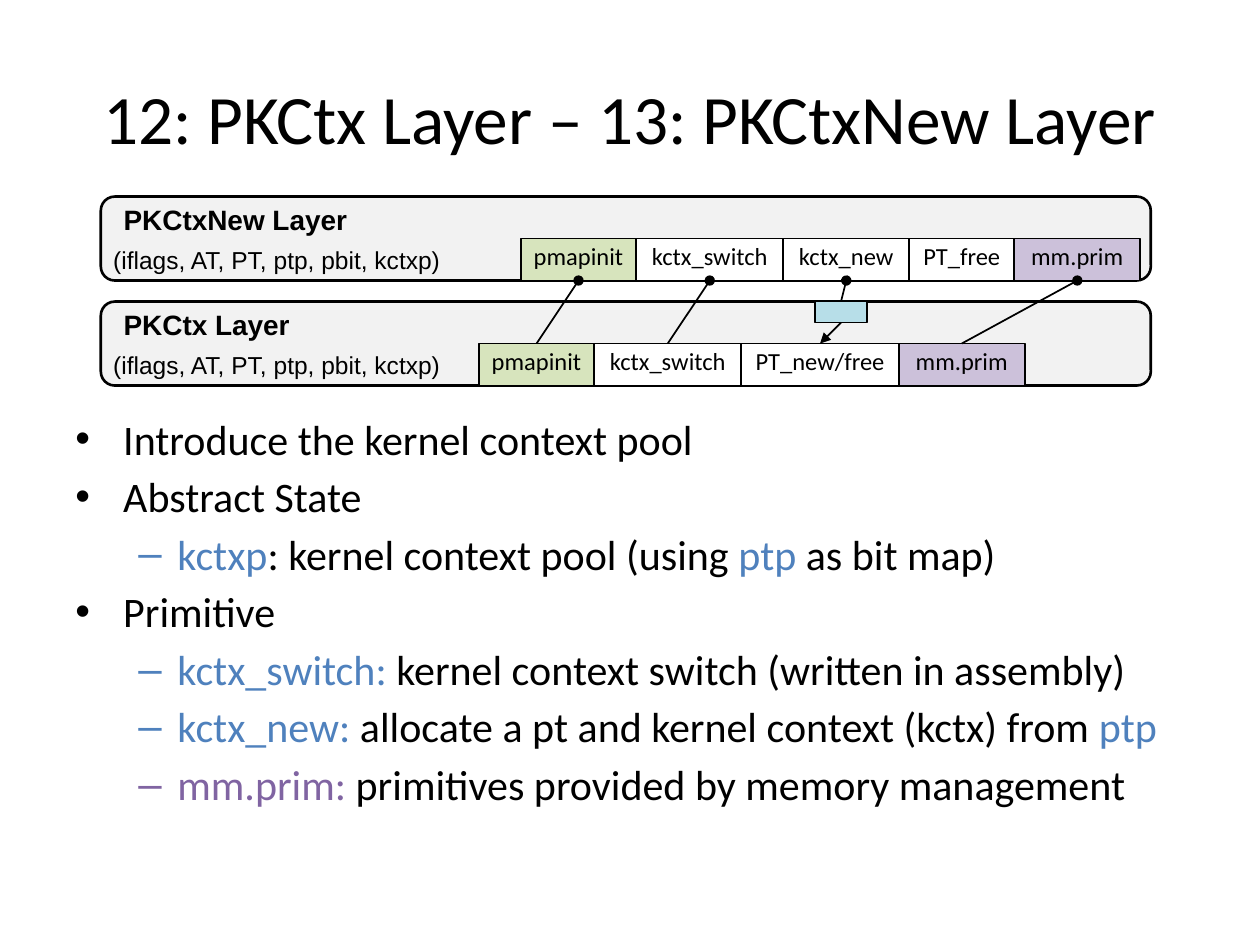
import dataclasses

import lxml.etree
import pptx
import pptx.dml.color
import pptx.enum.shapes
import pptx.enum.text
import pptx.oxml.ns
import pptx.util


@dataclasses.dataclass(frozen=True)
class Theme:
    """Colours, fonts and type sizes of the slide."""
    ink: str = "000000"
    panel: str = "F2F2F2"
    plain: str = "FFFFFF"
    green: str = "D7E4BD"
    lilac: str = "CCC1DA"
    aqua: str = "B7DEE8"
    blue: str = "4F81BD"
    purple: str = "8064A2"
    body_font: str = "Calibri"
    label_font: str = "Arial"
    title_size: float = 39.6
    body_size: float = 24
    name_size: float = 16
    cell_size: float = 14


THEME = Theme()
UNIT = 1 / 12
ROW = 4 * UNIT
LAYER_LEFT = 0.8
LAYER_COLUMNS = 100
STATE = "(iflags, AT, PT, ptp, pbit, kctxp)"
UPPER_CELLS = [
    ("pmapinit", 11, THEME.green), ("kctx_switch", 14, THEME.plain),
    ("kctx_new", 12, THEME.plain), ("PT_free", 10, THEME.plain),
    ("mm.prim", 12, THEME.lilac),
]
LOWER_CELLS = [
    ("pmapinit", 11, THEME.green), ("kctx_switch", 14, THEME.plain),
    ("PT_new/free", 15, THEME.plain), ("mm.prim", 12, THEME.lilac),
]
POINTS = [
    (0, [("Introduce the kernel context pool", THEME.ink)]),
    (0, [("Abstract State", THEME.ink)]),
    (1, [("kctxp", THEME.blue), (": kernel context pool (using ", THEME.ink),
         ("ptp ", THEME.blue), ("as bit map)", THEME.ink)]),
    (0, [("Primitive", THEME.ink)]),
    (1, [("kctx_switch: ", THEME.blue),
         ("kernel context switch (written in assembly)", THEME.ink)]),
    (1, [("kctx_new: ", THEME.blue),
         ("allocate a pt and kernel context (kctx) from ", THEME.ink),
         ("ptp", THEME.blue)]),
    (1, [("mm.prim: ", THEME.purple),
         ("primitives provided by memory management", THEME.ink)]),
]
BULLETS = [("•", 0.38, -0.38), ("–", 0.81, -0.31)]


def inches(*lengths):
    """Convert lengths in inches to slide units."""
    return [pptx.util.Inches(length) for length in lengths]


def rgb(colour):
    """Return a colour object for a hex string."""
    return pptx.dml.color.RGBColor.from_string(colour)


def add_run(paragraph, text, size, font, colour=THEME.ink, bold=False):
    """Append one styled run to a paragraph."""
    run = paragraph.add_run()
    run.text = text
    run.font.size = pptx.util.Pt(size)
    run.font.name = font
    run.font.bold = bold
    run.font.color.rgb = rgb(colour)


def add_text_frame(slide, left, top, width, height):
    """Add a wrapping text box and return its frame."""
    frame = slide.shapes.add_textbox(*inches(left, top, width, height)).text_frame
    frame.word_wrap = True
    return frame


def add_block(slide, kind, place, fill, weight=1):
    """Add an outlined, filled shape."""
    block = slide.shapes.add_shape(kind, *inches(*place))
    block.shadow.inherit = False
    block.fill.solid()
    block.fill.fore_color.rgb = rgb(fill)
    block.line.color.rgb = rgb(THEME.ink)
    block.line.width = pptx.util.Pt(weight)
    return block


def add_cell(slide, place, label, fill):
    """Add one primitive of a layer."""
    cell = add_block(slide, pptx.enum.shapes.MSO_SHAPE.RECTANGLE, place, fill)
    frame = cell.text_frame
    frame.margin_left = frame.margin_right = 0
    frame.vertical_anchor = pptx.enum.text.MSO_ANCHOR.MIDDLE
    paragraph = frame.paragraphs[0]
    paragraph.alignment = pptx.enum.text.PP_ALIGN.CENTER
    paragraph.line_spacing = 0.7
    add_run(paragraph, label, THEME.cell_size, THEME.body_font)
    return cell


def add_layer(slide, name, top, first_column, cells):
    """Add a layer panel with its labels and return its cells in order."""
    add_block(slide, pptx.enum.shapes.MSO_SHAPE.ROUNDED_RECTANGLE,
              (LAYER_LEFT, top, LAYER_COLUMNS * UNIT, 2 * ROW), THEME.panel, 1.5)
    heading = add_text_frame(slide, LAYER_LEFT + UNIT, top, 2.17, 0.37)
    add_run(heading.paragraphs[0], name, THEME.name_size, THEME.label_font, bold=True)
    state = add_text_frame(slide, LAYER_LEFT, top + ROW, 2.92, 0.34)
    add_run(state.paragraphs[0], STATE, THEME.cell_size, THEME.label_font)
    column, added = first_column, []
    for label, columns, fill in cells:
        place = (LAYER_LEFT + column * UNIT, top + ROW, columns * UNIT, ROW)
        added.append(add_cell(slide, place, label, fill))
        column += columns
    return added


def add_link(slide, upper, lower, end, style):
    """Join the bottom of one block to the top of another."""
    link = slide.shapes.add_connector(
        pptx.enum.shapes.MSO_CONNECTOR.STRAIGHT, 0, 0, 0, 0)
    link.begin_connect(upper, 2)
    link.end_connect(lower, 0)
    link.line.color.rgb = rgb(THEME.ink)
    link.line.width = pptx.util.Pt(1)
    qn = pptx.oxml.ns.qn
    lxml.etree.SubElement(link.line._get_or_add_ln(), qn(f"a:{end}"), type=style)
    lxml.etree.SubElement(link._element.spPr, qn("a:effectLst"))


def add_title(slide, text):
    """Add the centred slide title."""
    frame = add_text_frame(slide, 0.5, 0.3, 9, 1.25)
    frame.vertical_anchor = pptx.enum.text.MSO_ANCHOR.MIDDLE
    frame.paragraphs[0].alignment = pptx.enum.text.PP_ALIGN.CENTER
    add_run(frame.paragraphs[0], text, THEME.title_size, THEME.body_font)


def add_points(slide, points):
    """Add the two-level bulleted list."""
    frame = add_text_frame(slide, 0.5, 3.23, 9, 3.75)
    qn = pptx.oxml.ns.qn
    for index, (level, runs) in enumerate(points):
        paragraph = frame.add_paragraph() if index else frame.paragraphs[0]
        paragraph.level = level
        paragraph.space_before = pptx.util.Pt(4.1)
        mark, margin, indent = BULLETS[level]
        properties = paragraph._p.get_or_add_pPr()
        properties.set("marL", str(pptx.util.Inches(margin)))
        properties.set("indent", str(pptx.util.Inches(indent)))
        lxml.etree.SubElement(properties, qn("a:buFont"), typeface=THEME.label_font)
        lxml.etree.SubElement(properties, qn("a:buChar"), char=mark)
        for text, colour in runs:
            add_run(paragraph, text, THEME.body_size, THEME.body_font, colour)


def main():
    """Build the slide and save it."""
    deck = pptx.Presentation()
    deck.slide_width, deck.slide_height = inches(10, 7.5)
    slide = deck.slides.add_slide(deck.slide_layouts[6])
    add_title(slide, "12: PKCtx Layer – 13: PKCtxNew Layer")
    upper_top = 1.56
    lower_top = upper_top + 10 * UNIT
    upper = add_layer(slide, "PKCtxNew Layer", upper_top, 40, UPPER_CELLS)
    lower = add_layer(slide, "PKCtx Layer", lower_top, 36, LOWER_CELLS)
    adapter = add_block(slide, pptx.enum.shapes.MSO_SHAPE.RECTANGLE,
                        (LAYER_LEFT + 68 * UNIT, lower_top, 5 * UNIT, ROW / 2),
                        THEME.aqua)
    targets = [lower[0], lower[1], adapter, lower[3]]
    for source, target in zip(upper[:3] + upper[4:], targets):
        add_link(slide, source, target, "headEnd", "oval")
    add_link(slide, adapter, lower[2], "tailEnd", "triangle")
    add_points(slide, POINTS)
    deck.save("out.pptx")


if __name__ == "__main__":
    main()
